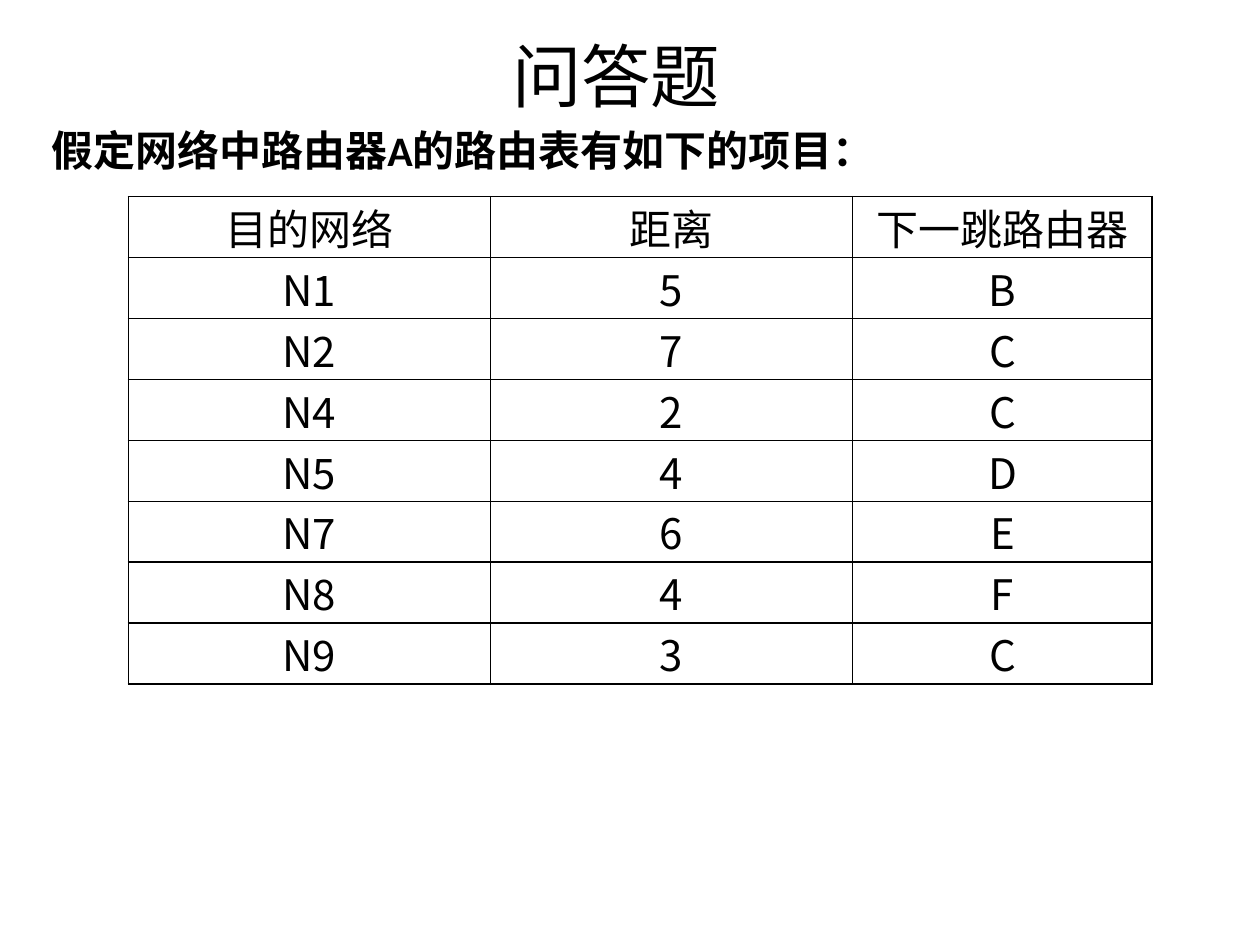
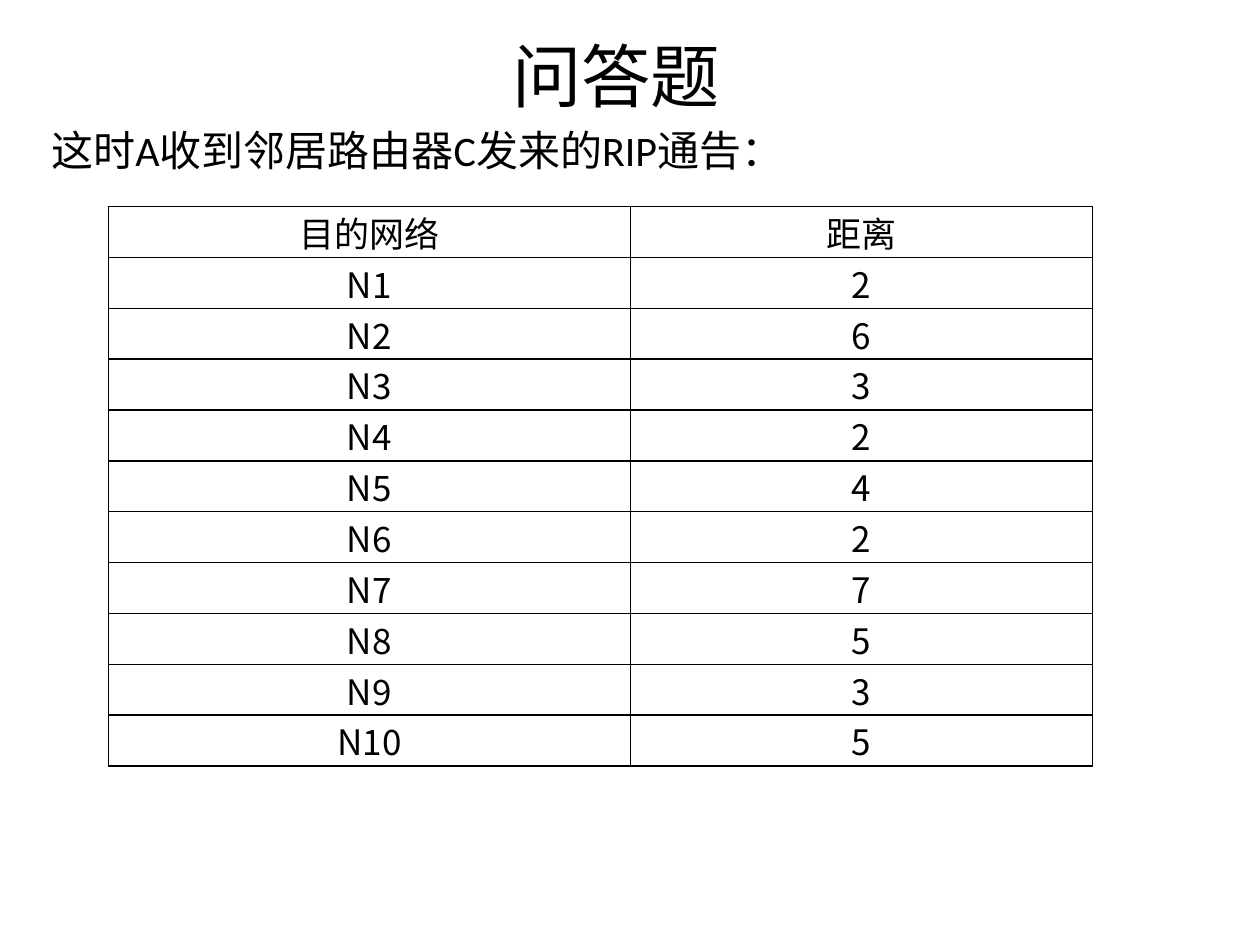
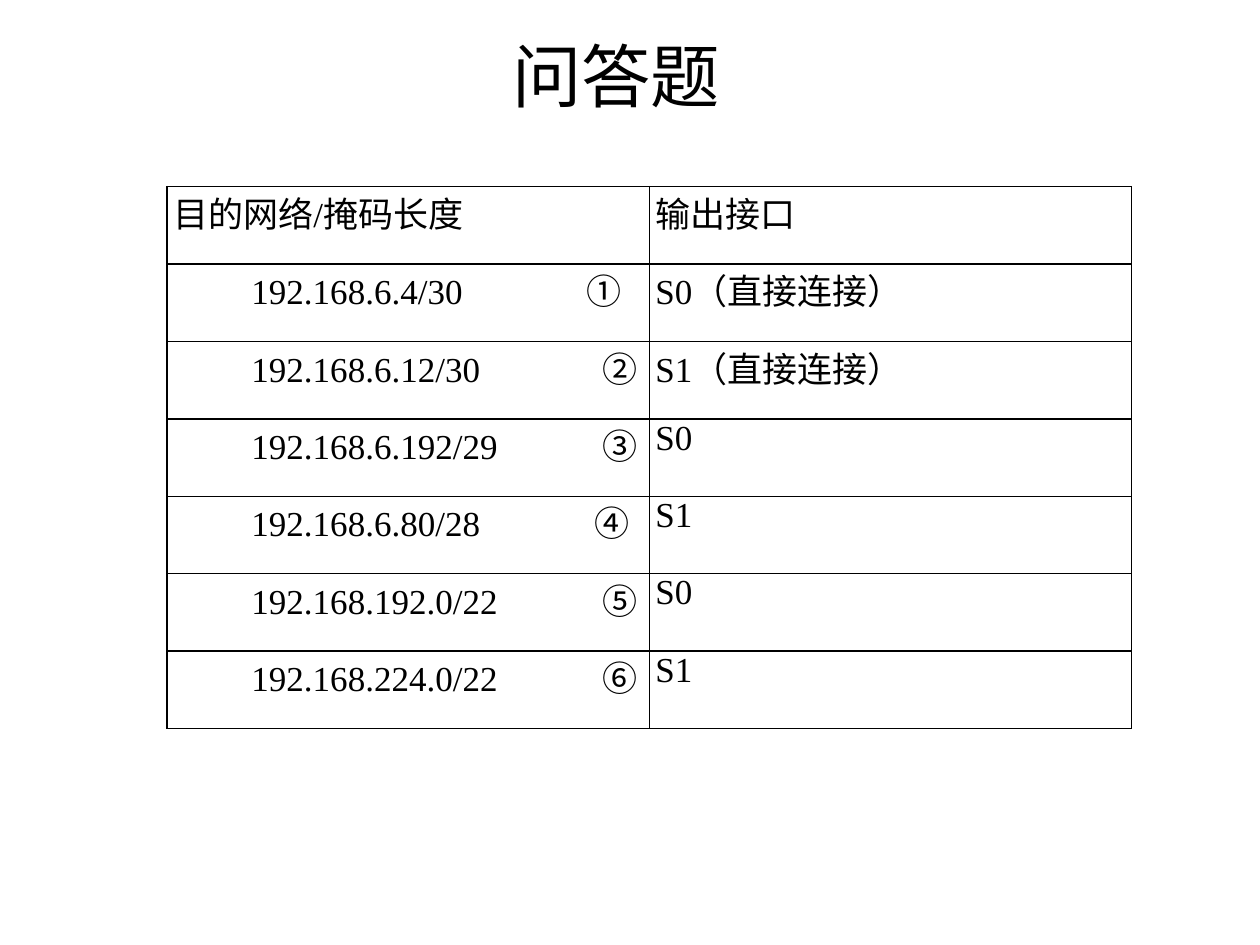
from lxml.etree import SubElement
from pptx import Presentation
from pptx.dml.color import RGBColor
from pptx.enum.text import MSO_ANCHOR, PP_ALIGN
from pptx.oxml.ns import qn
from pptx.util import Pt

# Shared look
INK, PAPER = "000000", "FFFFFF"
HEADING_FONT, SERIF, SANS = "Calibri", "Times New Roman", "Noto Sans CJK SC"
TITLE = "问答题"
TITLE_FORMAT = {"size": Pt(39.6), "bold": False}
ADDRESS_TAB = 44.8
MARK_TABS = {"①": 236, "④": 240.6}
USUAL_MARK_TAB = 245.6


def color(hex_string):
    return RGBColor.from_string(hex_string)


def write(paragraph, pieces, font_format, alignment):
    """Fill a paragraph with (text, font name) pieces."""
    paragraph.alignment = alignment
    for text, font_name in pieces:
        run = paragraph.add_run()
        run.text = text
        for key, value in {**font_format, "name": font_name}.items():
            setattr(run.font, key, value)
        run.font.color.rgb = color(INK)
        SubElement(run.font._element, qn("a:ea"), typeface=SANS)


# Content: router A's table, neighbour C's notice, the forwarding table
routes_of_a = [("目的网络", "距离", "下一跳路由器"),
               ("N1", "5", "B"), ("N2", "7", "C"), ("N4", "2", "C"),
               ("N5", "4", "D"), ("N7", "6", "E"), ("N8", "4", "F"),
               ("N9", "3", "C")]
notice_from_c = [("目的网络", "距离")] + [
    (f"N{number}", distance) for number, distance in enumerate("2632427535", 1)]
forwarding = [("目的网络/掩码长度", "输出接口"),
              ("192.168.6.4/30\t①", "S0（直接连接）"),
              ("192.168.6.12/30\t②", "S1（直接连接）"),
              ("192.168.6.192/29\t③", "S0"),
              ("192.168.6.80/28\t④", "S1"),
              ("192.168.192.0/22\t⑤", "S0"),
              ("192.168.224.0/22\t⑥", "S1")]

questions = [
    {"lead": "假定网络中路由器A的路由表有如下的项目：", "lead_bold": True,
     "rows": routes_of_a, "at": (73.3, 112.4), "height": 278.6,
     "columns": (206.9, 207.1, 171.1), "size": 24, "inset": 5.04,
     "align": PP_ALIGN.CENTER, "body_font": SANS},
    {"lead": "这时A收到邻居路由器C发来的RIP通告：", "lead_bold": False,
     "rows": notice_from_c, "at": (61.92, 118.08), "height": 319.7,
     "columns": (298.4, 264), "size": 20, "inset": 5.04,
     "align": PP_ALIGN.CENTER, "body_font": SANS},
    {"lead": None, "rows": forwarding, "at": (95.5, 106.7), "height": 309.6,
     "columns": (275.6, 275.6), "size": 20, "inset": 3.4,
     "align": PP_ALIGN.JUSTIFY, "body_font": SERIF},
]

deck = Presentation()
deck.slide_width, deck.slide_height = Pt(720), Pt(540)

for question in questions:
    slide = deck.slides.add_slide(deck.slide_layouts[6])
    slide.background.fill.solid()
    slide.background.fill.fore_color.rgb = color(PAPER)

    # Title
    title = slide.shapes.add_textbox(Pt(28), Pt(17), Pt(648), Pt(52)).text_frame
    title.word_wrap = True
    title.vertical_anchor = MSO_ANCHOR.MIDDLE
    write(title.paragraphs[0], [(TITLE, HEADING_FONT)], TITLE_FORMAT,
          PP_ALIGN.CENTER)

    # Lead sentence
    if question["lead"]:
        lead = slide.shapes.add_textbox(Pt(22.3), Pt(67.7), Pt(664), Pt(444)).text_frame
        lead.word_wrap = True
        write(lead.paragraphs[0], [(question["lead"], HEADING_FONT)],
              {"size": Pt(24), "bold": question["lead_bold"]}, PP_ALIGN.LEFT)

    # Table
    rows, columns = question["rows"], question["columns"]
    left, top = question["at"]
    table = slide.shapes.add_table(
        len(rows), len(columns), Pt(left), Pt(top),
        Pt(sum(columns)), Pt(question["height"])).table
    table.first_row = table.horz_banding = False
    for column, width in zip(table.columns, columns):
        column.width = Pt(width)
    cell_format = {"margin_left": Pt(question["inset"]),
                   "margin_right": Pt(question["inset"]),
                   "margin_top": 0, "margin_bottom": 0}

    for row_index, row in enumerate(rows):
        for column_index, entry in enumerate(row):
            cell = table.cell(row_index, column_index)
            for key, value in cell_format.items():
                setattr(cell, key, value)

            # Thin border on all four sides, no fill
            properties = cell._tc.get_or_add_tcPr()
            for side in ("a:lnL", "a:lnR", "a:lnT", "a:lnB"):
                border = SubElement(properties, qn(side), w=str(Pt(1)))
                SubElement(SubElement(border, qn("a:solidFill")),
                           qn("a:srgbClr"), val=INK)
            cell.fill.background()

            # Addresses and their circled numbers stand on two tab stops
            paragraph = cell.text_frame.paragraphs[0]
            address, tab, mark = entry.partition("\t")
            font_name = question["body_font"] if row_index else SERIF
            pieces = [(entry, font_name)]
            if tab:
                pieces = [(tab + address + tab, font_name), (mark, SANS)]
                stops = SubElement(paragraph._p.get_or_add_pPr(), qn("a:tabLst"))
                for stop in (ADDRESS_TAB, MARK_TABS.get(mark, USUAL_MARK_TAB)):
                    SubElement(stops, qn("a:tab"), pos=str(Pt(stop)), algn="l")
            write(paragraph, pieces, {"size": Pt(question["size"]), "bold": False},
                  question["align"])

deck.save("out.pptx")
